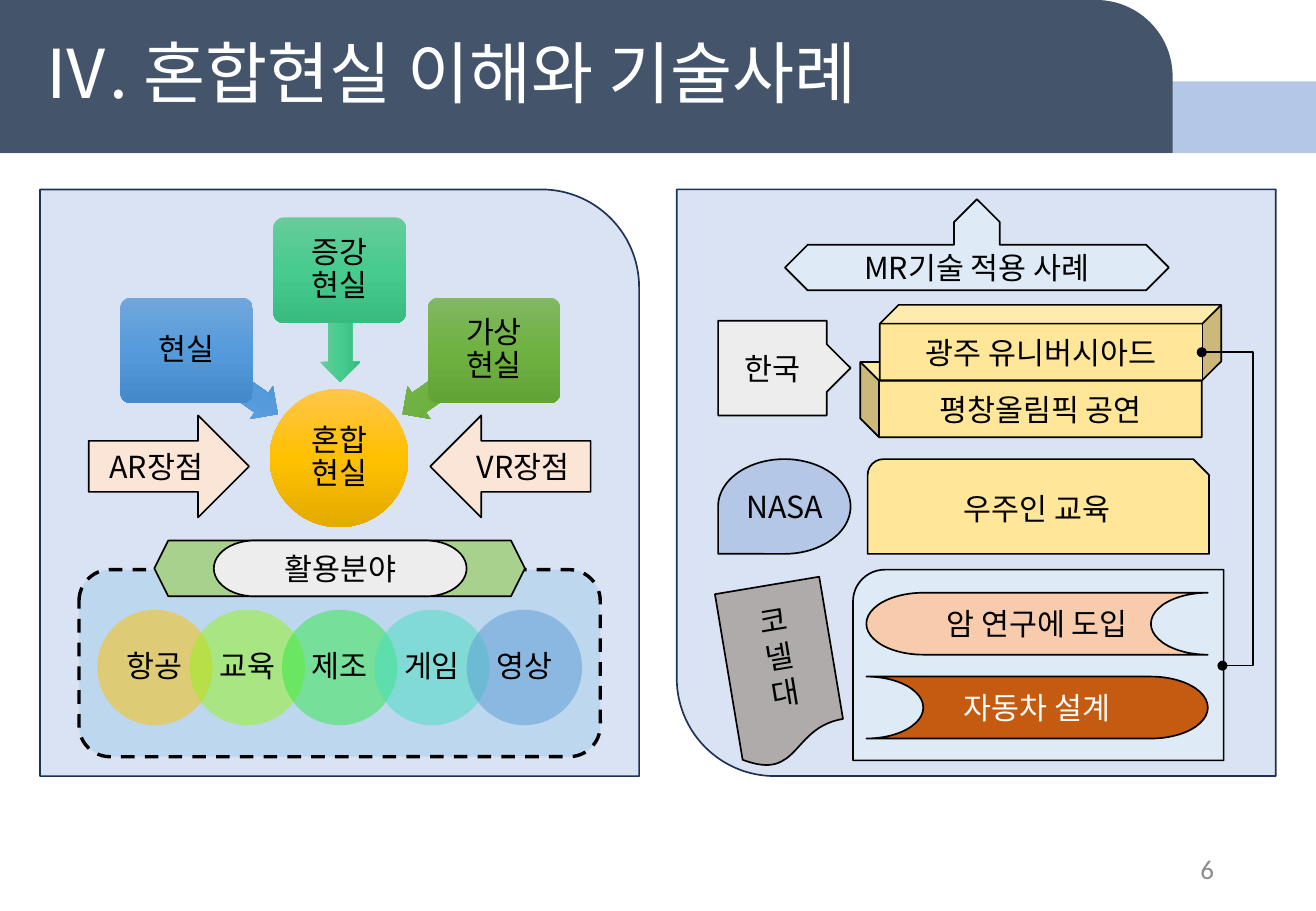
from dataclasses import dataclass
from copy import deepcopy

from lxml.etree import SubElement
from pptx import Presentation
from pptx.dml.color import RGBColor
from pptx.enum.dml import MSO_LINE
from pptx.enum.shapes import MSO_CONNECTOR, MSO_SHAPE as S
from pptx.enum.text import MSO_ANCHOR, MSO_AUTO_SIZE, PP_ALIGN
from pptx.oxml.ns import qn
from pptx.util import Inches, Pt

SANS = "Noto Sans CJK KR"
PANEL, EDGE, BLACK, GOLD, PALE = "DAE3F3", "1E3256", "000000", "FFE699", "DEEBF7"
BLUE = ("71A6DB", "559BDB", "448ACA")
TEAL = ("67CC9A", "47CB8E", "39BB7F")
GREEN = ("81B861", "6FB242", "62A336")
AMBER = ("FFC64B", "FFC000", "E3AB00")


@dataclass
class Part:
    """One preset shape; a line feed parts paragraphs, a tab-like \\v breaks a line."""
    kind: S
    x: float
    y: float
    w: float
    h: float
    fill: str | tuple[str, ...]
    text: str = ""
    line: str = BLACK
    flip: str = ""
    turn: float = 0
    adj: tuple[float, ...] = ()
    alpha: int = 100
    inset: tuple[float, float] = (0.1, 0.05)
    lead: float = 1
    ink: str = BLACK
    width: float = 1
    dash: bool = False


def tint(code: str) -> RGBColor:
    """Turn a hex string into a colour."""
    return RGBColor.from_string(code)


def write(frame, text: str, size: float, ink: str, face: str = SANS,
          align=PP_ALIGN.CENTER, lead: float = 1, inset=(0.1, 0.05)) -> None:
    """Fill a text frame run by run."""
    frame.word_wrap = True
    frame.auto_size = MSO_AUTO_SIZE.NONE
    frame.vertical_anchor = MSO_ANCHOR.MIDDLE
    frame.margin_left = frame.margin_right = Inches(inset[0])
    frame.margin_top = frame.margin_bottom = Inches(inset[1])
    for row, words in enumerate(text.split("\n")):
        para = frame.add_paragraph() if row else frame.paragraphs[0]
        para.alignment, para.line_spacing = align, lead
        for n, word in enumerate(words.split("\v")):
            if n:
                para.add_line_break()
            run = para.add_run()
            run.text = word
            run.font.size = Pt(size)
            run.font.color.rgb = tint(ink)
            run.font.name = face
            SubElement(run.font._element, qn("a:ea"), typeface=face)


def paint(shape, part: Part) -> None:
    """Apply a plain, clear or three-stop fill."""
    fill = shape.fill
    if isinstance(part.fill, tuple):
        fill.gradient()
        fill.gradient_angle = 270
        stops = shape.element.spPr.find(".//" + qn("a:gsLst"))
        stops.insert(1, deepcopy(stops[0]))
        for n, (stop, code) in enumerate(zip(fill.gradient_stops, part.fill)):
            stop.color.rgb = tint(code)
            stop.position = n / 2
        return
    fill.solid()
    fill.fore_color.rgb = tint(part.fill)
    if part.alpha < 100:
        code = shape.element.spPr.find(".//" + qn("a:srgbClr"))
        SubElement(code, qn("a:alpha"), val=str(part.alpha * 1000))


def draw(slide, part: Part) -> None:
    """Add one shape to the slide."""
    box = map(Inches, (part.x, part.y, part.w, part.h))
    shape = slide.shapes.add_shape(part.kind, *box)
    shape.shadow.inherit = False
    shape.rotation = part.turn
    for n, value in enumerate(part.adj):
        shape.adjustments[n] = value
    for axis in part.flip:
        shape.element.spPr.get_or_add_xfrm().set("flip" + axis, "1")
    paint(shape, part)
    if part.line:
        shape.line.color.rgb = tint(part.line)
        shape.line.width = Pt(part.width)
        if part.dash:
            shape.line.dash_style = MSO_LINE.DASH
    else:
        shape.line.fill.background()
    if part.text:
        write(shape.text_frame, part.text, 18, part.ink,
              lead=part.lead, inset=part.inset)


def link(slide) -> None:
    """Join the games row to the research box."""
    ends = map(Inches, (9.89, 2.9, 10.06, 5.48))
    wire = slide.shapes.add_connector(MSO_CONNECTOR.ELBOW, *ends)
    wire.line.color.rgb = tint(BLACK)
    wire.line.width = Pt(1)
    props = wire.element.spPr
    guides = props.find(".//" + qn("a:avLst"))
    SubElement(guides, qn("a:gd"), name="adj1", fmla="val 247900")
    for end in ("a:headEnd", "a:tailEnd"):
        SubElement(props.find(qn("a:ln")), qn(end), type="oval")
    SubElement(props, qn("a:effectLst"))


def left() -> list[Part]:
    """List the parts of the mixed reality panel."""
    snug = dict(line="", inset=(0.04, 0.04), lead=0.9)
    parts = [Part(S.ROUND_1_RECTANGLE, 0.33, 1.56, 4.93, 4.83, PANEL, line=EDGE),
             Part(S.OVAL, 2.22, 3.2, 1.14, 1.14, AMBER, "혼합\v현실",
                  line="", inset=(0.01, 0.01), lead=0.9)]
    nodes = [("현실", BLUE, 0.99, 2.45, 1.45, 2.98, 215),
             ("증강\v현실", TEAL, 2.25, 1.79, 2.34, 2.52, 270),
             ("가상\v현실", GREEN, 3.52, 2.45, 3.23, 2.98, 325)]
    for text, fill, x, y, tip, top, turn in nodes:
        parts += [Part(S.LEFT_ARROW, tip, top, 0.92, 0.33, fill, line="",
                       turn=turn, adj=(0.6, 0.5)),
                  Part(S.ROUNDED_RECTANGLE, x, y, 1.09, 0.87, fill, text,
                       adj=(0.1,), **snug)]
    parts += [
        Part(S.RIGHT_ARROW, 0.73, 3.42, 1.32, 0.84, "FBE5D6", "AR장점"),
        Part(S.LEFT_ARROW, 3.54, 3.42, 1.32, 0.84, "FBE5D6", "VR장점"),
        Part(S.ROUNDED_RECTANGLE, 0.65, 4.69, 4.29, 1.54, "BDD7EE",
             width=2, dash=True),
        Part(S.HEXAGON, 1.27, 4.45, 3.05, 0.46, "A9D18E"),
        Part(S.FLOWCHART_TERMINATOR, 1.76, 4.45, 2.08, 0.46, "EDEDED", "활용분야")]
    fields = {"항공": "FFC000", "교육": "94F319", "제조": "30E845",
              "게임": "46DEBF", "영상": "5B9BD5"}
    parts += [Part(S.OVAL, 0.8 + 0.76 * n, 5.02, 0.95, 0.95, fill, text, line="",
                   alpha=50, inset=(0.05, 0.03), lead=0.9)
              for n, (text, fill) in enumerate(fields.items())]
    return parts


def right() -> list[Part]:
    """List the parts of the use case panel."""
    store = S.FLOWCHART_STORED_DATA
    return [
        Part(S.ROUND_1_RECTANGLE, 5.57, 1.56, 4.93, 4.83, PANEL, line=EDGE, flip="HV"),
        Part(S.LEFT_RIGHT_UP_ARROW, 6.46, 1.64, 3.16, 0.75, PALE, "MR기술 적용 사례",
             adj=(0.5, 0.25, 0.25)),
        Part(S.RIGHT_ARROW_CALLOUT, 5.91, 2.64, 1.09, 0.78, "EDEDED", "한국",
             adj=(0.5, 0.25, 0.25, 0.82)),
        Part(S.CUBE, 7.08, 2.98, 2.81, 0.62, GOLD, "평창올림픽 공연", flip="H"),
        Part(S.CUBE, 7.24, 2.51, 2.81, 0.62, GOLD, "광주 유니버시아드"),
        Part(S.TEAR, 5.91, 3.78, 1.09, 0.78, "B4C7E7", flip="HV"),
        Part(S.SNIP_ROUND_RECTANGLE, 7.14, 3.78, 2.81, 0.78, GOLD, "우주인 교육"),
        Part(S.FLOWCHART_DOCUMENT, 6, 4.81, 0.87, 1.48, "AFABAB", "코\n넬\n대",
             turn=350.5),
        Part(S.ROUND_1_RECTANGLE, 7.02, 4.69, 3.05, 1.57, PALE, flip="H"),
        Part(store, 7.13, 4.88, 2.81, 0.51, "F8CBAD", "암 연구에 도입"),
        Part(store, 7.13, 5.57, 2.81, 0.51, "C55A11", "자동차 설계", flip="H",
             ink="FFFFFF")]


def main() -> None:
    """Build and save the slide."""
    deck = Presentation()
    deck.slide_width, deck.slide_height = Inches(10.83), Inches(7.5)
    slide = deck.slides.add_slide(deck.slide_layouts[5])
    draw(slide, Part(S.RECTANGLE, 0, 0.67, 10.83, 0.59, "B4C7E7", line=""))
    draw(slide, Part(S.ROUND_1_RECTANGLE, 0, 0, 9.65, 1.26, "44546A", line="",
                     adj=(0.5,)))
    title = slide.shapes.title
    title.left, title.top = Inches(0), Inches(0)
    title.width, title.height = Inches(10.83), Inches(1.26)
    write(title.text_frame, "Ⅳ. 혼합현실 이해와 기술사례", 40, "FFFFFF",
          align=PP_ALIGN.LEFT, lead=0.9, inset=(0.35, 0.05))
    slide.shapes.element.append(title.element)
    for part in left() + right():
        draw(slide, part)
    label = slide.shapes.add_textbox(*map(Inches, (6.01, 3.97, 0.9, 0.4)))
    write(label.text_frame, "NASA", 18, BLACK)
    link(slide)
    page = slide.shapes.add_textbox(*map(Inches, (7.65, 6.95, 2.44, 0.4)))
    write(page.text_frame, "6", 16, "8C8C8C", "Calibri", PP_ALIGN.RIGHT)
    deck.save("out.pptx")


if __name__ == "__main__":
    main()
